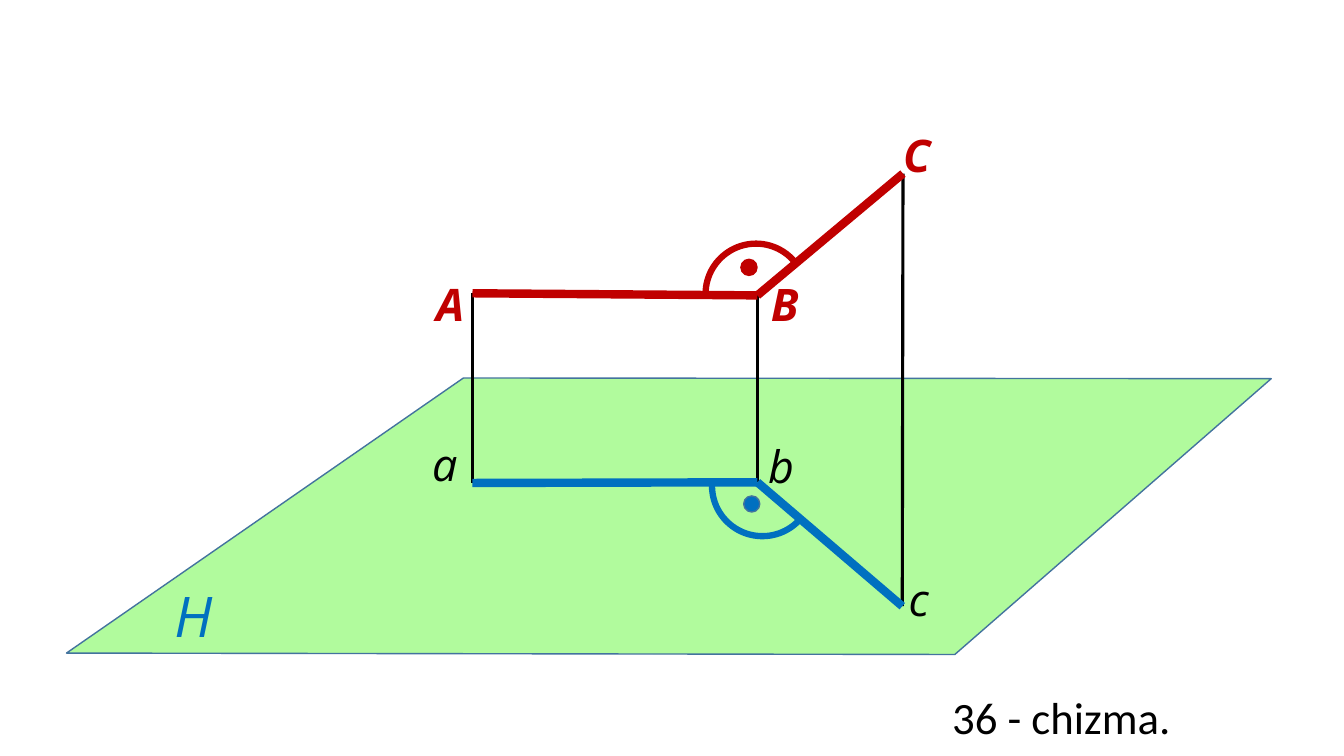
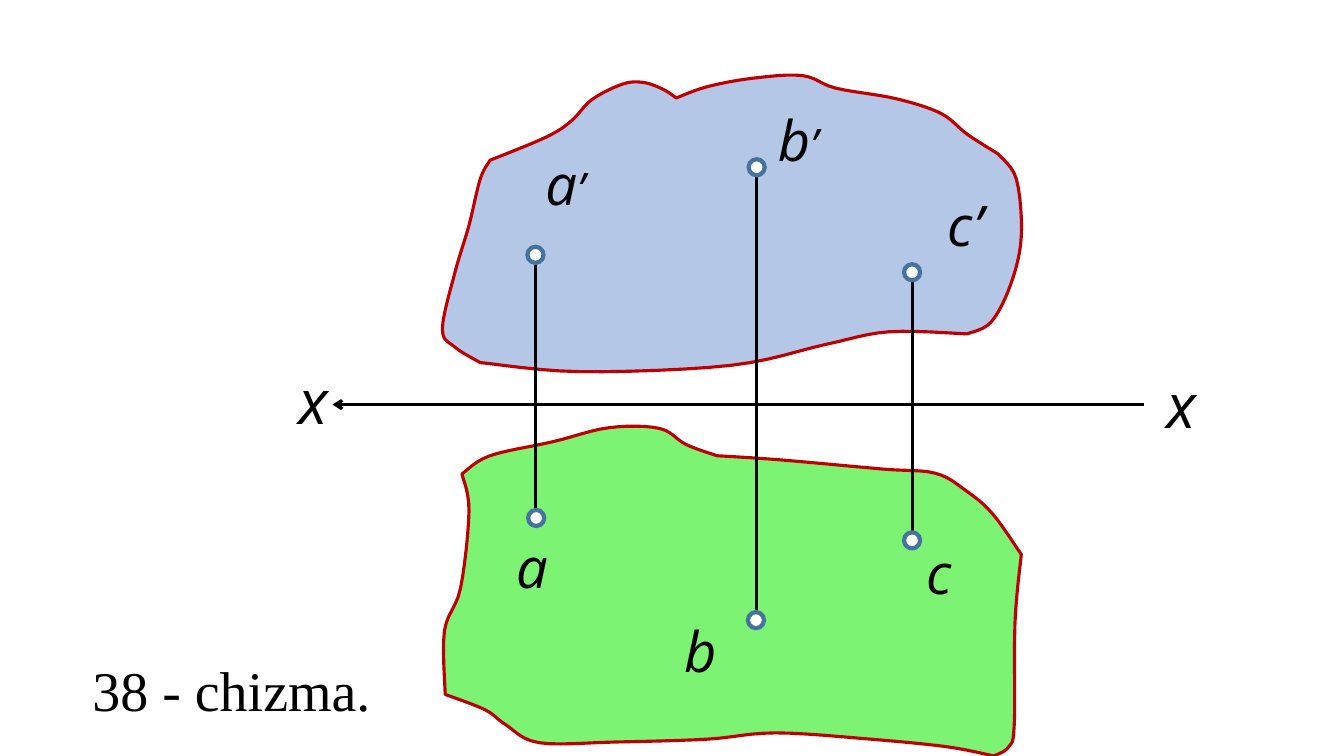
from itertools import pairwise
from typing import NamedTuple

from lxml import etree
from pptx import Presentation
from pptx import util as u
from pptx.dml.color import RGBColor
from pptx.enum import shapes, text
from pptx.oxml.ns import qn

Pt = u.Pt
Point = tuple[float, float]

# Colours
BLACK = RGBColor(0x00, 0x00, 0x00)
WHITE = RGBColor(0xFF, 0xFF, 0xFF)
RED = RGBColor(0xC0, 0x00, 0x00)
BLUE = RGBColor(0x00, 0x70, 0xC0)
EDGE_BLUE = RGBColor(0x43, 0x73, 0x9E)
PLANE_GREEN = RGBColor(0xB1, 0xFB, 0x9D)
FRONT_BLUE = RGBColor(0xB4, 0xC7, 0xE7)
LOWER_GREEN = RGBColor(0x7C, 0xF3, 0x73)

# Shared fonts, sizes and line widths
LETTER_FONT = "Open Sans"
DOT_SIZE = 11.5
ARC_SIZE = 72
ARC_START = 162
THIN, MEDIUM, RING, ARC_WIDTH, THICK = 1, 2.25, 3, 4.5, 6
CURVE_STEPS = 6


class Corner(NamedTuple):
    """A corner of the angle in space and its projection on plane H."""
    name: str
    in_space: Point
    on_plane: Point
    space_label: Point
    plane_label: Point


class RightAngle(NamedTuple):
    """The arc and the dot that mark a right angle."""
    corner: Point
    rotation: float
    end_angle: float
    dot: Point
    color: RGBColor
    dot_edge: RGBColor


class ViewedPoint(NamedTuple):
    """A point seen in the front view and in the lower view."""
    name: str
    front: Point
    lower: Point
    front_label: Point
    lower_label: Point
    prime_size: float


class Blob(NamedTuple):
    """A wavy outline: each side is smooth, and sides meet in sharp corners."""
    fill: RGBColor
    sides: list[list[Point]]


# Drawing functions
def add_text(page, words: str, place: Point, *, width: float = 60,
             height: float = 55, size: float = 32, font: str = LETTER_FONT,
             color: RGBColor = BLACK, bold: bool = False, italic: bool = True,
             suffix: str = "", suffix_size: float = 32) -> None:
    left, top = place
    box = page.shapes.add_textbox(Pt(left), Pt(top), Pt(width), Pt(height))
    box.text_frame.word_wrap = True
    box.text_frame.auto_size = text.MSO_AUTO_SIZE.NONE
    para = box.text_frame.paragraphs[0]
    for part, part_size in ((words, size), (suffix, suffix_size)):
        if part:
            span = para.add_run()
            span.text = part
            span.font.name = font
            span.font.size = Pt(part_size)
            span.font.color.rgb = color
            span.font.bold = bold
            span.font.italic = italic


def set_line(shape, color: RGBColor, width: float) -> None:
    shape.line.color.rgb = color
    shape.line.width = Pt(width)


def set_fill(shape, color: RGBColor) -> None:
    shape.fill.solid()
    shape.fill.fore_color.rgb = color
    shape.shadow.inherit = False


def add_segment(page, start: Point, end: Point, color: RGBColor = BLACK,
                width: float = MEDIUM, arrow: bool = False) -> None:
    ends = [Pt(value) for value in (*start, *end)]
    line = page.shapes.add_connector(shapes.MSO_CONNECTOR.STRAIGHT, *ends)
    set_line(line, color, width)
    properties = line._element.spPr
    if arrow:
        etree.SubElement(properties.find(qn("a:ln")), qn("a:headEnd"), type="arrow")
    etree.SubElement(properties, qn("a:effectLst"))


def add_centered(page, kind: shapes.MSO_SHAPE, center: Point, size: float):
    x, y = center
    return page.shapes.add_shape(kind, Pt(x - size / 2), Pt(y - size / 2),
                                 Pt(size), Pt(size))


def add_dot(page, center: Point, fill: RGBColor, edge: RGBColor,
            width: float) -> None:
    dot = add_centered(page, shapes.MSO_SHAPE.OVAL, center, DOT_SIZE)
    set_fill(dot, fill)
    set_line(dot, edge, width)


def add_right_angle(page, angle: RightAngle) -> None:
    arc = add_centered(page, shapes.MSO_SHAPE.ARC, angle.corner, ARC_SIZE)
    arc.adjustments[0] = ARC_START
    arc.adjustments[1] = angle.end_angle
    arc.rotation = angle.rotation
    arc.fill.background()
    arc.shadow.inherit = False
    set_line(arc, angle.color, ARC_WIDTH)
    add_dot(page, angle.dot, angle.color, angle.dot_edge, THIN)


def add_outline(page, points: list[Point], fill: RGBColor, edge: RGBColor,
                width: float) -> None:
    corners = [(Pt(x), Pt(y)) for x, y in points]
    builder = page.shapes.build_freeform(*corners[0])
    builder.add_line_segments(corners[1:], close=True)
    shape = builder.convert_to_shape()
    set_fill(shape, fill)
    set_line(shape, edge, width)


def spline(before: float, start: float, end: float, after: float,
           t: float) -> float:
    """Catmull-Rom value between start and end, for t from 0 to 1."""
    return start + t / 2 * (
        end - before
        + t * (2 * before - 5 * start + 4 * end - after)
        + t * t * (3 * (start - end) + after - before))


def smooth(knots: list[Point]) -> list[Point]:
    """Points on a smooth curve through the knots, without the last knot."""
    padded = [knots[0], *knots, knots[-1]]
    curve = []
    for i in range(len(knots) - 1):
        xs, ys = zip(*padded[i:i + 4])
        for step in range(CURVE_STEPS):
            t = step / CURVE_STEPS
            curve.append((spline(*xs, t), spline(*ys, t)))
    return curve


def add_blob(page, blob: Blob) -> None:
    points = [point for side in blob.sides for point in smooth(side)]
    add_outline(page, points, blob.fill, RED, MEDIUM)


# Right angle ABC and its projection abc on plane H
PLANE_H = [(331, 270), (908, 270.5), (682, 467.5), (47.5, 466.5)]
CORNERS = [
    Corner("A", (337.5, 209.5), (337.5, 345), (304.5, 194), (301.5, 308.5)),
    Corner("B", (541, 211), (541, 344.5), (543.5, 194), (541.5, 310)),
    Corner("C", (645, 124), (644.5, 433), (638, 88), (642, 404.5)),
]
RIGHT_ANGLES = [
    RightAngle((540, 210), 266.7, 30.78, (535, 191), RED, RED),
    RightAngle((544.5, 347), 134.1, 31.17, (537, 360), BLUE, EDGE_BLUE),
]

# Two views of a plane on both sides of the x axis, each clockwise
FRONT_VIEW = Blob(FRONT_BLUE, [
    # top, left of the notch
    [(350, 114.5), (390, 98), (408, 86.5), (423, 71), (445, 60), (460, 59),
     (474, 64), (483, 70)],
    # top, right of the notch
    [(483, 70), (505, 62), (537, 56), (573, 54), (597, 63), (640, 70.5),
     (672, 81), (691, 96), (713, 110)],
    # right
    [(713, 110), (726, 128), (729.5, 169), (722, 203), (708, 230), (691, 238.5)],
    # bottom
    [(691, 238.5), (635, 237), (590, 246), (522, 261), (415, 265.5), (343, 259)],
    # left
    [(343, 259), (325, 248), (316, 235), (325, 194.5), (335, 161), (343, 128),
     (350, 114.5)],
])
LOWER_VIEW = Blob(LOWER_GREEN, [
    # top, down to the dip
    [(330, 338.5), (350, 325.5), (395, 315.5), (435, 305.5), (471, 306),
     (490, 317.5), (512, 325.5)],
    # top, after the dip
    [(512, 325.5), (557.5, 328.5), (630, 335), (668, 338), (690, 350.5),
     (709, 367), (729.5, 396)],
    # right
    [(729.5, 396), (725, 445), (724.5, 517.5), (720.5, 533.5), (710, 540)],
    # bottom
    [(710, 540), (677, 533.5), (622, 528), (554, 523.5), (505, 528),
     (440, 530), (385, 530.5), (361, 517.5), (346.5, 507), (318, 496)],
    # left
    [(318, 496), (317.5, 450.5), (329, 420), (335, 365), (330, 338.5)],
])
AXIS_Y, AXIS_LEFT, AXIS_RIGHT = 289, 237.5, 817
AXIS_LABELS = [(206, 255.5), (826, 258.5)]
VIEWED_POINTS = [
    ViewedPoint("a", (382.5, 182), (383, 370), (382.5, 103), (361.5, 376.5), 32),
    ViewedPoint("b", (540.5, 119.5), (540, 443), (548.5, 72), (481.5, 437), 32),
    ViewedPoint("c", (651.5, 194.5), (651.5, 386), (669.5, 132.5),
                (654.5, 381.5), 40),
]


def build_angle_page(page) -> None:
    add_outline(page, PLANE_H, PLANE_GREEN, EDGE_BLUE, THIN)
    add_text(page, "H", (117.5, 412), size=40, color=BLUE)
    # Projecting lines and corner letters
    for corner in CORNERS:
        add_segment(page, corner.in_space, corner.on_plane)
        add_text(page, corner.name, corner.space_label, color=RED, bold=True)
        add_text(page, corner.name.lower(), corner.plane_label)
    # Sides of the angle and of its projection
    for start, end in pairwise(CORNERS):
        add_segment(page, start.in_space, end.in_space, RED, THICK)
        add_segment(page, start.on_plane, end.on_plane, BLUE, THICK)
    for angle in RIGHT_ANGLES:
        add_right_angle(page, angle)
    add_text(page, "36 - chizma.", (673, 489), width=190, height=46,
             font="Calibri", italic=False)


def build_views_page(page) -> None:
    for view in (FRONT_VIEW, LOWER_VIEW):
        add_blob(page, view)
    # The x axis
    add_segment(page, (AXIS_LEFT, AXIS_Y), (AXIS_RIGHT, AXIS_Y), arrow=True)
    for place in AXIS_LABELS:
        add_text(page, "x", place, size=44)
    # Each point in both views, with the line that links them
    for point in VIEWED_POINTS:
        x, front_y = point.front
        lower_y = point.lower[1]
        add_segment(page, (x, front_y + DOT_SIZE / 2), (x, lower_y - DOT_SIZE / 2))
        for center in (point.front, point.lower):
            add_dot(page, center, WHITE, EDGE_BLUE, RING)
        add_text(page, point.name, point.front_label, size=40,
                 suffix="’", suffix_size=point.prime_size)
        add_text(page, point.name, point.lower_label, size=40)
    add_text(page, "38 - chizma.", (59, 465), width=257, size=40,
             font="Times New Roman", italic=False)


def main() -> None:
    deck = Presentation()
    deck.slide_width, deck.slide_height = Pt(960), Pt(540)
    blank = deck.slide_layouts[6]
    for build in (build_angle_page, build_views_page):
        build(deck.slides.add_slide(blank))
    deck.save("out.pptx")


if __name__ == "__main__":
    main()
